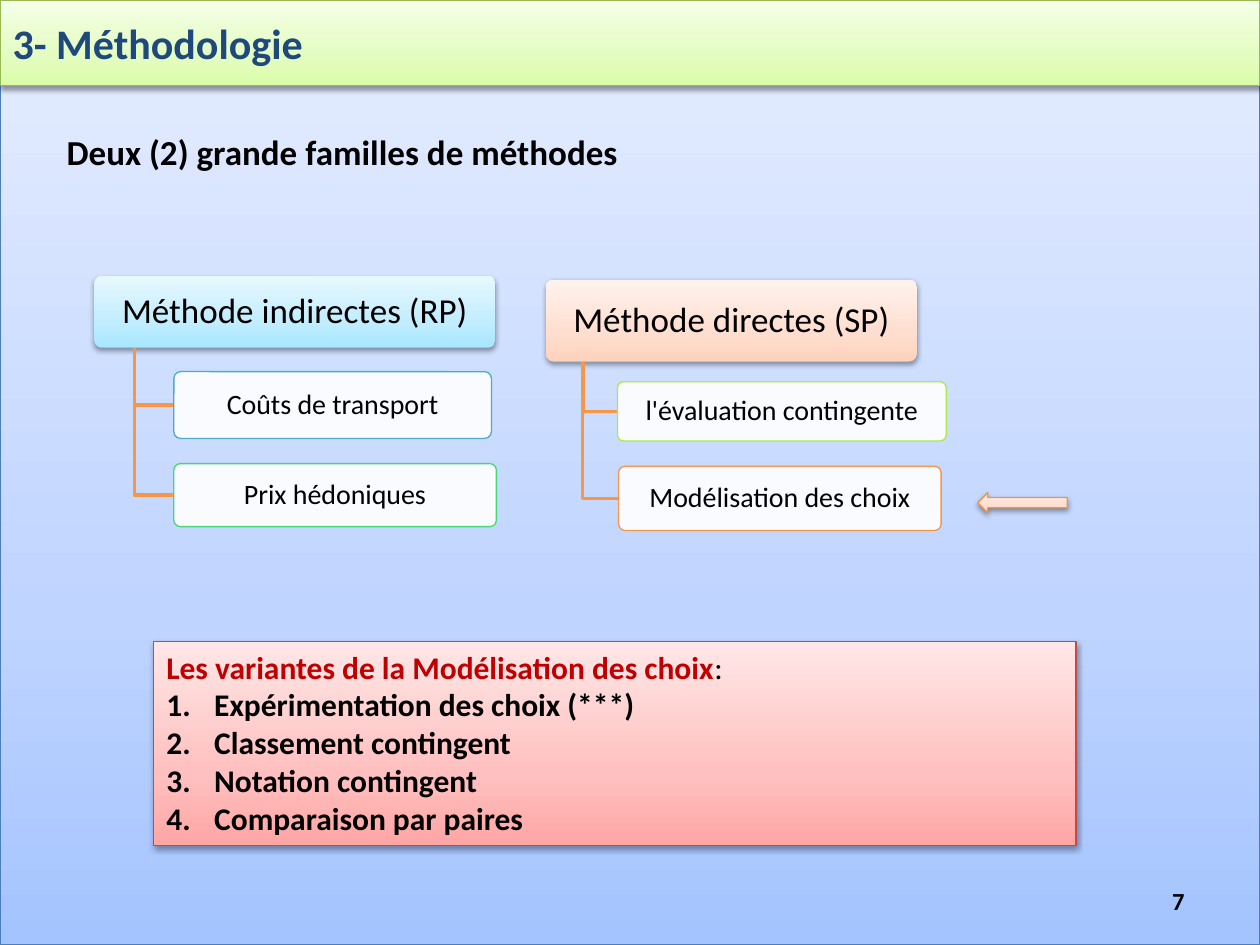
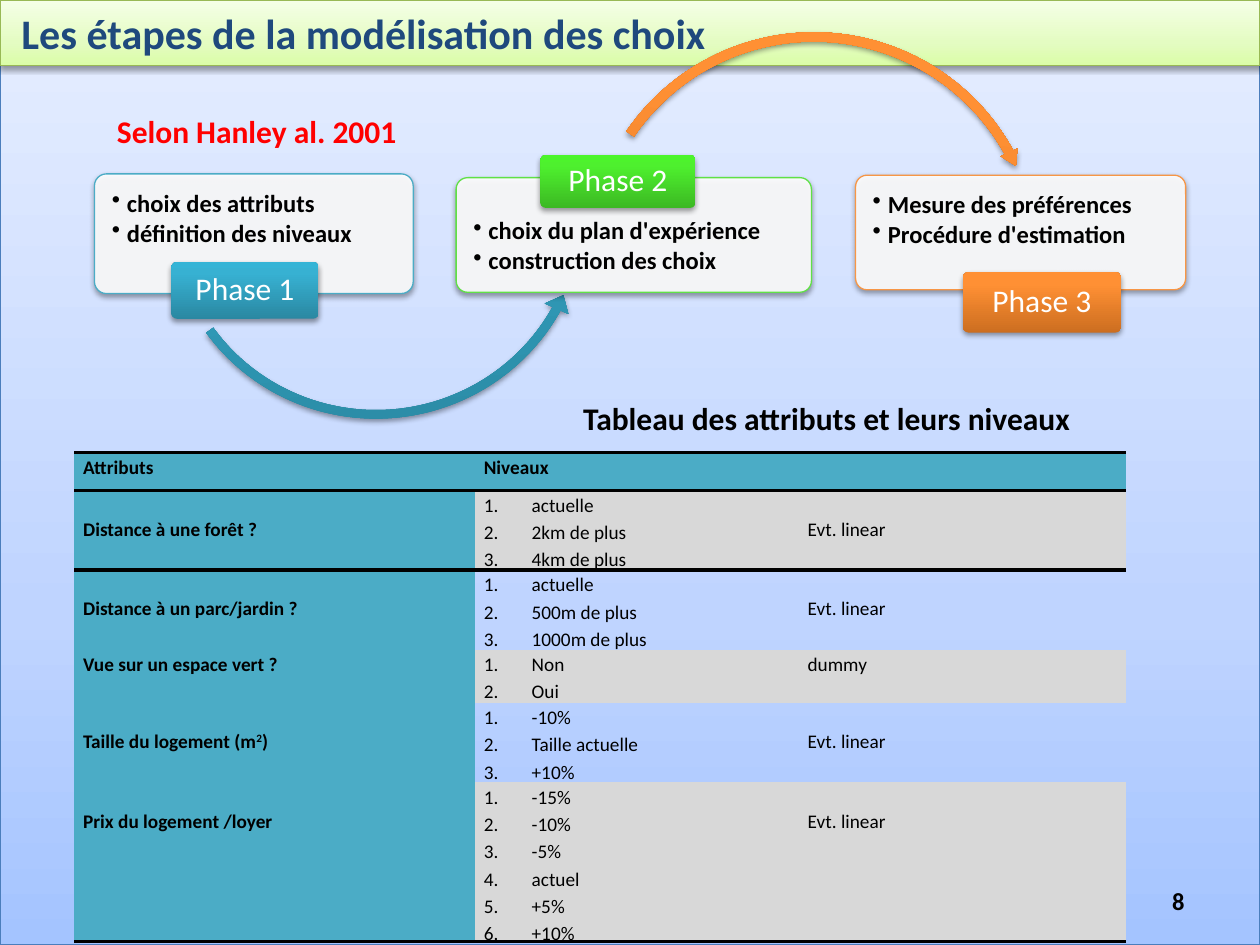
from copy import deepcopy

from lxml import etree
from pptx import Presentation
from pptx import util as u
from pptx.dml.color import RGBColor
from pptx.enum import shapes, text
from pptx.oxml.ns import qn

# Boxes are (left, top, width, height) on a grid of 100 columns by 75 rows.
COLS, ROWS, CELL = 100, 75, 0.1
FONT = "Calibri"
rgb = RGBColor.from_string
BLACK, WHITE, RED = rgb("000000"), rgb("FFFFFF"), rgb("FF0000")
NAVY, WINE, GREY = rgb("1F497D"), rgb("C00000"), rgb("D8D8D8")
TEAL, ORANGE, LIME = rgb("4BACC6"), rgb("F79646"), rgb("ACE946")
MINT, GREEN = rgb("47D872"), rgb("60E146")
SKY_EDGE, BAND_EDGE = rgb("4B7EBC"), rgb("98B955")
ROSE_EDGE, PEACH_EDGE = rgb("BF4C48"), rgb("F69240")


def shade(middle, *codes):
    """Stops of a gradient that runs from bottom to top."""
    return list(zip((0, middle, 1), map(rgb, codes)))


SKY = shade(0.35, "A4C4FF", "BFD4FF", "E6EEFF")
BAND = shade(0.35, "DAFDA7", "E4FCC2", "F5FFE7")
AQUA = shade(0.35, "A7E6FF", "C1EDFF", "E7F8FF")
PEACH = shade(0.35, "FFD2BD", "FFDED0", "FFF2ED")
ROSE = shade(0.35, "FFA6A5", "FFC0BF", "FFE7E7")
DEEP_TEAL = shade(0.8, "2A88A2", "37B1D2", "34B4D6")
DEEP_GREEN = shade(0.8, "3CB923", "4EF02E", "4CF52A")
DEEP_ORANGE = shade(0.8, "CC6E20", "FF9034", "FF9136")

KIND = shapes.MSO_SHAPE
MIDDLE = text.MSO_ANCHOR.MIDDLE
LEFT, CENTER, RIGHT, JUSTIFY = (
    text.PP_ALIGN.LEFT, text.PP_ALIGN.CENTER, text.PP_ALIGN.RIGHT, text.PP_ALIGN.JUSTIFY)

FAMILIES = [
    ("Méthode indirectes (RP)", (7.5, 21.9, 31.8, 5.7), AQUA, [
        ("Coûts de transport", (13.8, 29.5, 25.2, 5.3), TEAL),
        ("Prix hédoniques", (13.8, 36.8, 25.6, 5), MINT)]),
    ("Méthode directes (SP)", (43.3, 22.2, 29.5, 6.5), PEACH, [
        ("l'évaluation contingente", (49, 30.3, 26.1, 4.7), LIME),
        ("Modélisation des choix", (49.1, 37, 25.6, 5.1), ORANGE)]),
]
VARIANTS = [
    "Les variantes de la Modélisation des choix:",
    "Expérimentation des choix (***)",
    "Classement contingent",
    "Notation contingent",
    "Comparaison par paires",
]
# name, points, card, gap above the points, tag, edge, tag shade
PHASES = [
    ("Phase 1", ["choix des attributs", "définition des niveaux"],
     (7.5, 13.8, 25.3, 9.5), 1.1, (13.6, 20.8, 11.7, 4.5), TEAL, DEEP_TEAL),
    ("Phase 2", ["choix du plan d'expérience", "construction des choix"],
     (36.2, 14.1, 28.2, 9.1), 3, (42.9, 12.3, 12.3, 4.2), GREEN, DEEP_GREEN),
    ("Phase 3", ["Mesure des préférences", "Procédure d'estimation"],
     (67.9, 13.9, 26.2, 9.1), 1.1, (76.4, 21.6, 12.6, 4.8), ORANGE, DEEP_ORANGE),
]
# kind, box, turn, adjustments, shade
SWEEPS = [
    (KIND.LEFT_CIRCULAR_ARROW, (12.6, -0.2, 34.6, 34.1), 353.7,
     (0.02, 2.54, 20.69, 90.64, 0.03), DEEP_TEAL),
    (KIND.CIRCULAR_ARROW, (46.2, 2.2, 36.8, 36.8), 6.3,
     (0.02, 2.35, 194.96, 124.82, 0.02), DEEP_ORANGE),
]
HEADS = ["Attributs", "Niveaux", ""]
# Text between carets is raised.
ATTRIBUTES = [
    ("Distance à une forêt ?", ["actuelle", "2km de plus", "4km de plus"], "Evt. linear"),
    ("Distance à un parc/jardin ?", ["actuelle", "500m de plus", "1000m de plus"],
     "Evt. linear"),
    ("Vue sur un espace vert ?", ["Non", "Oui"], "dummy"),
    ("Taille du logement (m^2^)", ["-10%", "Taille actuelle", "+10%"], "Evt. linear"),
    ("Prix du logement /loyer", ["-15%", "-10%", "-5%", "actuel", "+5%", "+10%"],
     "Evt. linear"),
]
TABLE, WIDTHS = (5.9, 35.9, 83.5, 37.9), (31.8, 25.7, 26)
HEAD_ROW, LINE_ROW = 2, 2.02
PLAIN_TABLE = "{2D5ABB26-0587-4C30-8999-92F81FD0307C}"


def grid(*cells):
    return [u.Inches(n * CELL) for n in cells]


def place(shape, box):
    shape.left, shape.top, shape.width, shape.height = grid(*box)


def node(parent, tag, **attrs):
    """Append a DrawingML child."""
    return etree.SubElement(parent, qn(tag), {k: str(v) for k, v in attrs.items()})


def paint(shape, fill, edge=None, shadow=True):
    """Fill with a gradient (list) or a slightly clear colour, then edge and shadow."""
    if isinstance(fill, list):
        shape.fill.gradient()
        shape.fill.gradient_angle = 90
        stops = shape.element.spPr.find(".//" + qn("a:gsLst"))
        stops.append(deepcopy(stops[-1]))
        for stop, (share, color) in zip(shape.fill.gradient_stops, fill):
            stop.position, stop.color.rgb = share, color
    else:
        shape.fill.solid()
        shape.fill.fore_color.rgb = fill
        node(shape.element.spPr.find(".//" + qn("a:srgbClr")), "a:alpha", val=90000)
    if edge is None:
        shape.line.fill.background()
    else:
        shape.line.color.rgb = edge
        shape.line.width = u.Pt(0.75)
    shape.shadow.inherit = False
    if shadow:
        effects = shape.element.spPr.find(qn("a:effectLst"))
        outer = node(effects, "a:outerShdw", blurRad=40000, dist=20000, dir=5400000, rotWithShape=0)
        node(node(outer, "a:srgbClr", val="000000"), "a:alpha", val=38000)


def style(item, size, color=BLACK, bold=False):
    item.font.name, item.font.size = FONT, u.Pt(size)
    item.font.color.rgb, item.font.bold = color, bold


def write(frame, lines, size, color=BLACK, bold=False, align=LEFT, spacing=1.0):
    frame.text = "\n".join(lines)
    frame.word_wrap = True
    for para in frame.paragraphs:
        para.alignment, para.line_spacing = align, spacing
        para.space_before = u.Pt(0)
        for run in para.runs:
            style(run, size, color, bold)


def bullet(para, indent, tag, **attrs):
    props = para._p.get_or_add_pPr()
    props.set("marL", str(u.Inches(indent)))
    props.set("indent", str(-u.Inches(indent)))
    node(props, tag, **attrs)


def number(paras):
    for para in paras:
        bullet(para, 0.38, "a:buAutoNum", type="arabicPeriod")


def inset(frame, side, top):
    frame.margin_left = frame.margin_right = u.Inches(side)
    frame.margin_top = frame.margin_bottom = u.Inches(top)


def label(slide, words, box, size, color=BLACK, align=LEFT):
    frame = slide.shapes.add_textbox(*grid(*box)).text_frame
    write(frame, [words], size, color, True, align)
    return frame


def block(slide, box, fill, edge=None, shadow=True, kind=KIND.ROUNDED_RECTANGLE):
    shape = slide.shapes.add_shape(kind, *grid(*box))
    if kind == KIND.ROUNDED_RECTANGLE:
        shape.adjustments[0] = 0.1
    paint(shape, fill, edge, shadow)
    return shape


def caption(shape, words, size, color=BLACK):
    frame = shape.text_frame
    write(frame, [words], size, color, align=CENTER, spacing=0.9)
    frame.vertical_anchor = MIDDLE
    inset(frame, 0.03, 0.03)


def start(deck, layout, title, depth, margin, page):
    """Add a slide with the sky, the title band and the page number."""
    slide = deck.slides.add_slide(deck.slide_layouts[layout])
    sky = block(slide, (0, 0, COLS, ROWS), SKY, SKY_EDGE, kind=KIND.RECTANGLE)
    slide.shapes._spTree.insert(2, sky.element)
    band = slide.shapes.title
    place(band, (0, 0, COLS, depth))
    paint(band, BAND, BAND_EDGE)
    frame = band.text_frame
    write(frame, [title], 24, NAVY, True)
    frame.auto_size = text.MSO_AUTO_SIZE.NONE
    frame.vertical_anchor = MIDDLE
    frame.margin_left = u.Inches(margin)
    label(slide, page, (71.7, 69.5, 23.3, 4), 14, align=RIGHT).vertical_anchor = MIDDLE
    return slide


def elbow(slide, parent, child):
    """Line from the parent's bottom, a tenth in, to the child's left side."""
    left, top, width, height = parent
    x, low = left + width / 10, top + height
    y = child[1] + child[3] / 2
    pen = slide.shapes.build_freeform(*grid(x, low))
    pen.add_line_segments([grid(x, y), grid(child[0], y)], close=False)
    line = pen.convert_to_shape()
    line.fill.background()
    line.line.color.rgb, line.line.width = ORANGE, u.Pt(2)
    line.shadow.inherit = False


def methods(deck):
    slide = start(deck, 1, "3- Méthodologie", 6.8, 0.1, "7")
    label(slide, "Deux (2) grande familles de méthodes", (4.3, 9.9, 77.2, 4.4), 20)
    for name, box, fill, members in FAMILIES:
        caption(block(slide, box, fill), name, 20)
        for member, spot, edge in members:
            elbow(slide, box, spot)
            caption(block(slide, spot, WHITE, edge, False), member, 16)
    block(slide, (77.6, 39.1, 7.1, 1.6), PEACH, PEACH_EDGE, kind=KIND.LEFT_ARROW)

    body = slide.placeholders[1]
    place(body, (12.2, 50.9, 73.2, 16.2))
    paint(body, ROSE, ROSE_EDGE)
    frame = body.text_frame
    write(frame, VARIANTS, 18, bold=True)
    frame.auto_size = text.MSO_AUTO_SIZE.NONE
    head, *rest = frame.paragraphs
    bullet(head, 0, "a:buNone")
    head.runs[0].text = VARIANTS[0][:-1]
    style(head.runs[0], 18, WINE, True)
    colon = head.add_run()
    colon.text = VARIANTS[0][-1]
    style(colon, 18)
    number(rest)


def border(cell, *sides):
    props = cell._tc.get_or_add_tcPr()
    for side in sides:
        line = node(props, side, w=u.Pt(2.25))
        node(node(line, "a:solidFill"), "a:srgbClr", val=str(BLACK))


def fill_cell(cell, lines, color, bold=False, drop=0):
    write(cell.text_frame, lines, 11, bold=bold, align=JUSTIFY, spacing=1.15)
    cell.margin_left = cell.margin_right = u.Inches(0.07)
    cell.margin_top, cell.margin_bottom = u.Inches(drop), 0
    if color is None:
        cell.fill.background()
    else:
        cell.fill.solid()
        cell.fill.fore_color.rgb = color


def raise_marked(para):
    parts = para.text.split("^")
    para.runs[0].text = parts[0]
    for i, part in enumerate(parts[1:], 1):
        run = para.add_run()
        run.text = part
        style(run, 11, bold=True)
        if i % 2:
            run.font._element.set("baseline", "30000")


def levels(slide):
    """Table of the attributes and their levels."""
    table = slide.shapes.add_table(len(ATTRIBUTES) + 1, len(WIDTHS), *grid(*TABLE)).table
    table._tbl.tblPr.find(qn("a:tableStyleId")).text = PLAIN_TABLE
    table.first_row = table.horz_banding = False
    for column, width in zip(table.columns, grid(*WIDTHS)):
        column.width = width
    counts = [len(steps) for _, steps, _ in ATTRIBUTES]
    heights = grid(HEAD_ROW, *(LINE_ROW * n for n in counts))
    for row, height in zip(table.rows, heights):
        row.height = height
    for c, head in enumerate(HEADS):
        border(table.cell(0, c), "a:lnT", "a:lnB")
        border(table.cell(1, c), "a:lnT")
        border(table.cell(len(ATTRIBUTES), c), "a:lnB")
        fill_cell(table.cell(0, c), [head], TEAL, True)
    for r, (name, steps, coding) in enumerate(ATTRIBUTES, 1):
        tone = GREY if r % 2 else None
        drop = 0.19 if len(steps) > 2 else 0
        fill_cell(table.cell(r, 0), [name], TEAL, True, drop)
        raise_marked(table.cell(r, 0).text_frame.paragraphs[0])
        fill_cell(table.cell(r, 1), steps, tone)
        number(table.cell(r, 1).text_frame.paragraphs)
        fill_cell(table.cell(r, 2), [coding], tone, drop=drop)


def steps(deck):
    slide = start(deck, 5, "Les étapes de la modélisation des choix", 5.2, 0.17, "8")
    for i, (name, points, card, gap, tag, edge, fill) in enumerate(PHASES):
        frame = block(slide, card, WHITE, edge).text_frame
        write(frame, points, 14, bold=True, spacing=0.9)
        frame.vertical_anchor = text.MSO_ANCHOR.TOP
        inset(frame, 0.11, 0)
        frame.margin_top = u.Inches(gap * CELL)
        for para in frame.paragraphs:
            para.space_after = u.Pt(2)
            bullet(para, 0.12, "a:buChar", char="•")
        for kind, box, turn, bends, tint in SWEEPS[i:i + 1]:
            arrow = block(slide, box, tint, kind=kind)
            arrow.rotation = turn
            for k, bend in enumerate(bends):
                arrow.adjustments[k] = bend
        caption(block(slide, tag, fill), name, 18, WHITE)
    label(slide, "Selon Hanley al. 2001", (8.3, 8.4, 24.4, 4), 18, RED)
    levels(slide)
    label(slide, "Tableau des attributs et leurs niveaux", (45.3, 31.2, 41.7, 4), 18)


def main():
    deck = Presentation()
    deck.slide_width, deck.slide_height = grid(COLS, ROWS)
    methods(deck)
    steps(deck)
    deck.save("out.pptx")


if __name__ == "__main__":
    main()
